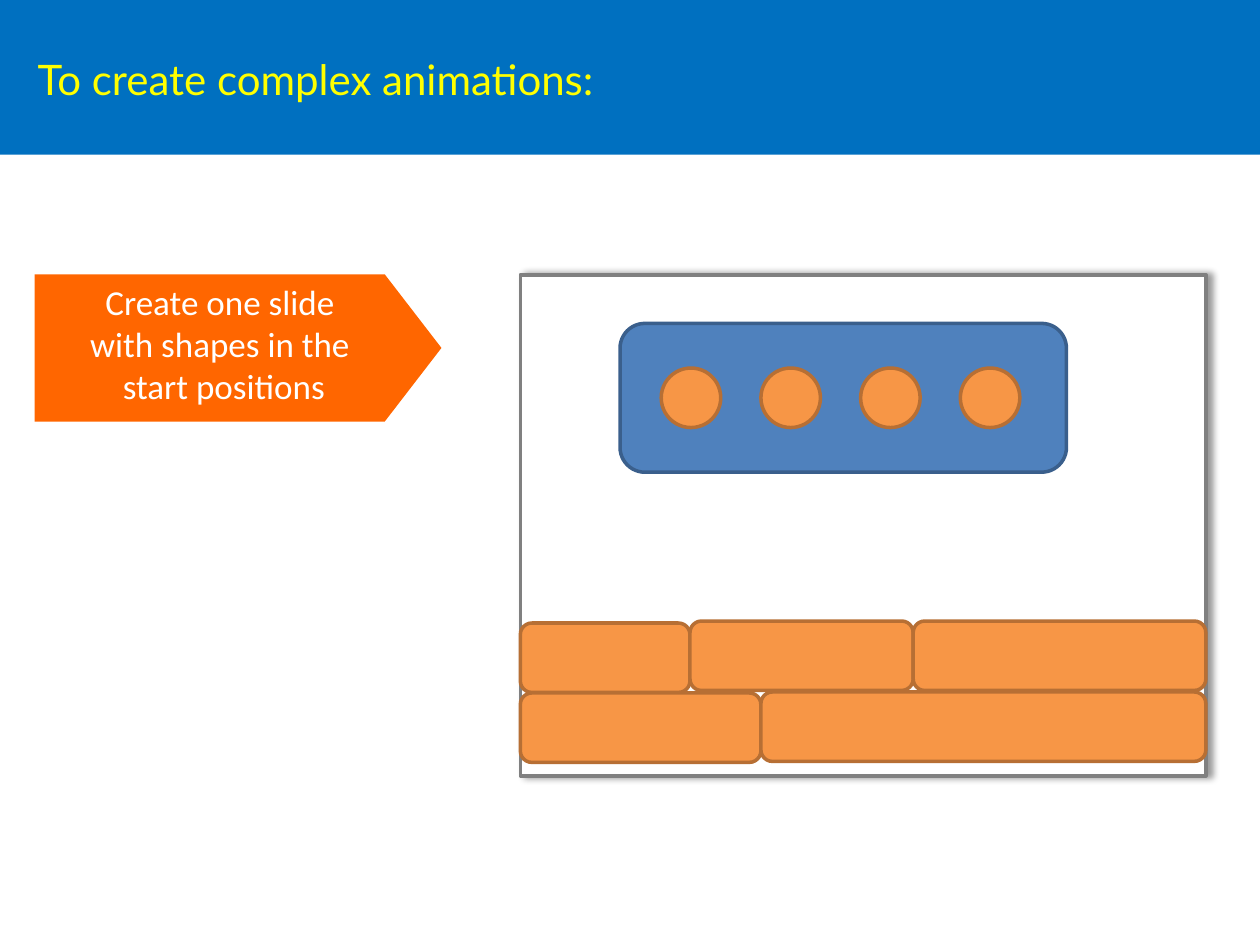
from itertools import pairwise

from lxml.etree import SubElement
from pptx import Presentation
from pptx.dml.color import RGBColor
from pptx.enum.shapes import MSO_SHAPE as Shape
from pptx.enum.text import MSO_ANCHOR as Anchor, PP_ALIGN as Align
from pptx.oxml.ns import qn
from pptx.util import Cm, Pt

COLORS = {
    "banner": "0070C0",
    "title": "FFFF00",
    "frame": "FFFFFF",
    "frame_line": "808080",
    "step": "FF6600",
    "step_text": "FFFFFF",
    "brick": "F79646",
    "brick_line": "B76F34",
    "panel": "4F81BD",
    "panel_line": "3A5F8C",
    "shadow": "000000",
}
TITLE_FONT = {"name": "Lato", "size": Pt(24)}
STEP_FONT = {"name": "Calibri", "size": Pt(20)}


def color(key):
    return RGBColor.from_string(COLORS[key])


def add_block(slide, kind, box, fill, line=None):
    block = slide.shapes.add_shape(kind, *map(Cm, box))
    block.shadow.inherit = False
    block.fill.solid()
    block.fill.fore_color.rgb = color(fill)
    if line:
        block.line.color.rgb = color(line)
        block.line.width = Pt(2)
    else:
        block.line.fill.background()
    return block


def write(holder, text, font_format, font_color, align, frame_format):
    frame = holder.text_frame
    for name, value in frame_format.items():
        setattr(frame, name, value)
    paragraph = frame.paragraphs[0]
    paragraph.text = text
    paragraph.alignment = align
    for name, value in font_format.items():
        setattr(paragraph.font, name, value)
    paragraph.font.color.rgb = color(font_color)


def add_shadow(block):
    effects = block._element.spPr.find(qn("a:effectLst"))
    shadow = SubElement(effects, qn("a:outerShdw"), blurRad=str(Pt(4)),
                        dist=str(Pt(3)), dir="0", algn="l", rotWithShape="0")
    tint = SubElement(shadow, qn("a:srgbClr"), val=COLORS["shadow"])
    SubElement(tint, qn("a:alpha"), val="40000")


def add_brick_row(slide, edges, top, first_drop):
    for index, (left, right) in enumerate(pairwise(edges)):
        drop = first_drop if index == 0 else 0
        add_block(slide, Shape.ROUNDED_RECTANGLE,
                  (left, top + drop, right - left, 1.4), "brick", "brick_line")


def main():
    prs = Presentation()
    prs.slide_width, prs.slide_height = Cm(25.4), Cm(19.05)
    slide = prs.slides.add_slide(prs.slide_layouts[6])

    # Banner and title
    add_block(slide, Shape.RECTANGLE, (0, 0, 25.4, 3.12), "banner")
    title = slide.shapes.add_textbox(0, 0, Cm(25.4), Cm(3.18))
    write(title, "To create complex animations:", TITLE_FONT, "title", Align.LEFT,
          {"word_wrap": True, "vertical_anchor": Anchor.MIDDLE,
           "margin_left": Cm(0.76)})

    # Miniature slide frame
    left, right = 10.49, 24.31
    frame = add_block(slide, Shape.RECTANGLE, (left, 5.54, right - left, 10.1),
                      "frame", "frame_line")
    add_shadow(frame)

    # Step arrow
    step = add_block(slide, Shape.PENTAGON, (0.7, 5.53, 8.2, 2.97), "step")
    step.adjustments[0] = 0.385
    write(step, "Create one slide \vwith shapes in the \vstart positions",
          STEP_FONT, "step_text", Align.CENTER,
          {"word_wrap": True, "vertical_anchor": Anchor.TOP})

    # Panel with four evenly spaced studs
    add_block(slide, Shape.ROUNDED_RECTANGLE, (12.5, 6.52, 9, 3), "panel", "panel_line")
    for index in range(4):
        add_block(slide, Shape.FLOWCHART_CONNECTOR,
                  (13.33 + 2.01 * index, 7.42, 1.2, 1.2), "brick", "brick_line")

    # Brick wall
    add_brick_row(slide, (left, 13.91, 18.41, right), 12.52, 0.04)
    add_brick_row(slide, (left, 15.34, right), 13.95, 0.02)

    prs.save("out.pptx")


if __name__ == "__main__":
    main()
